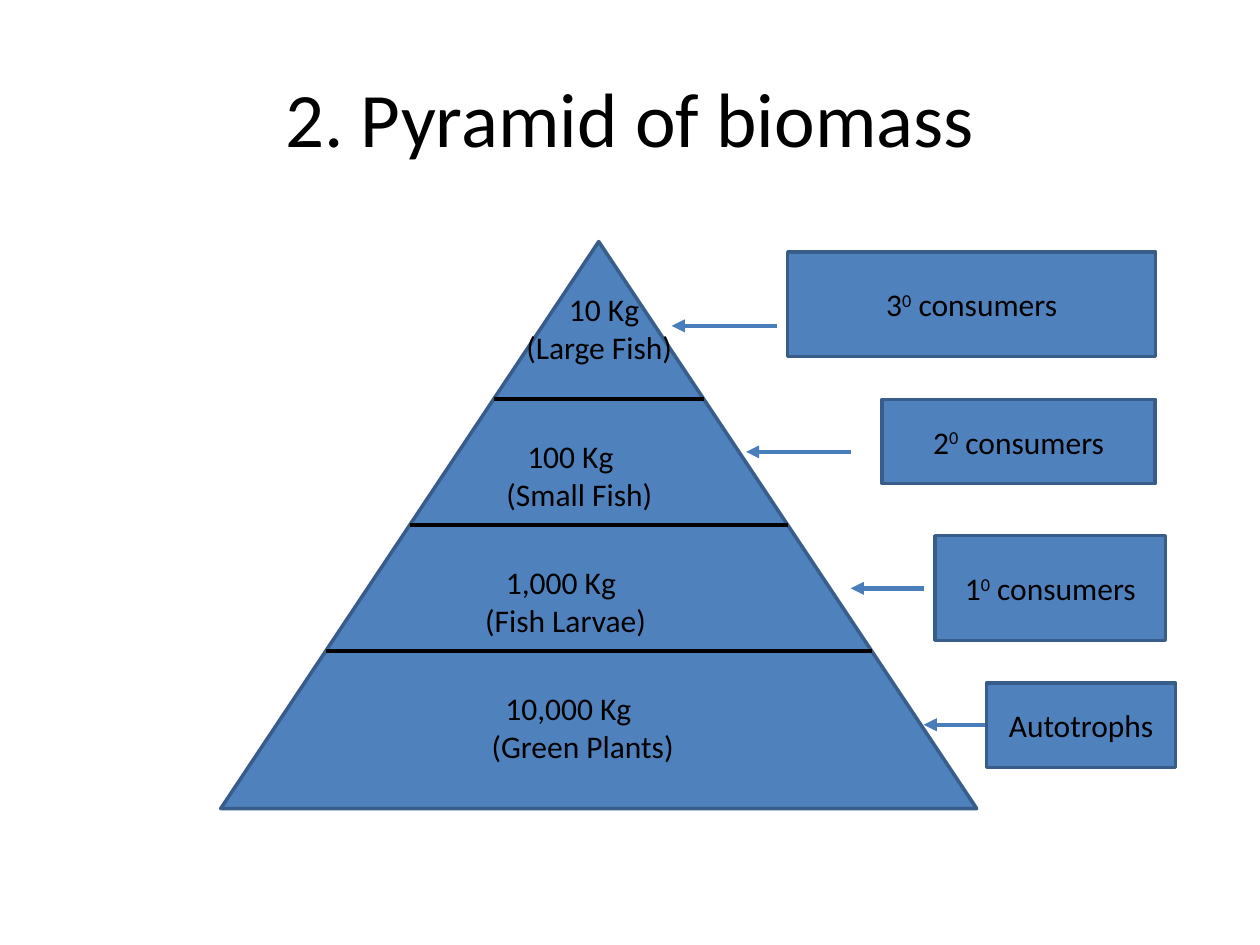
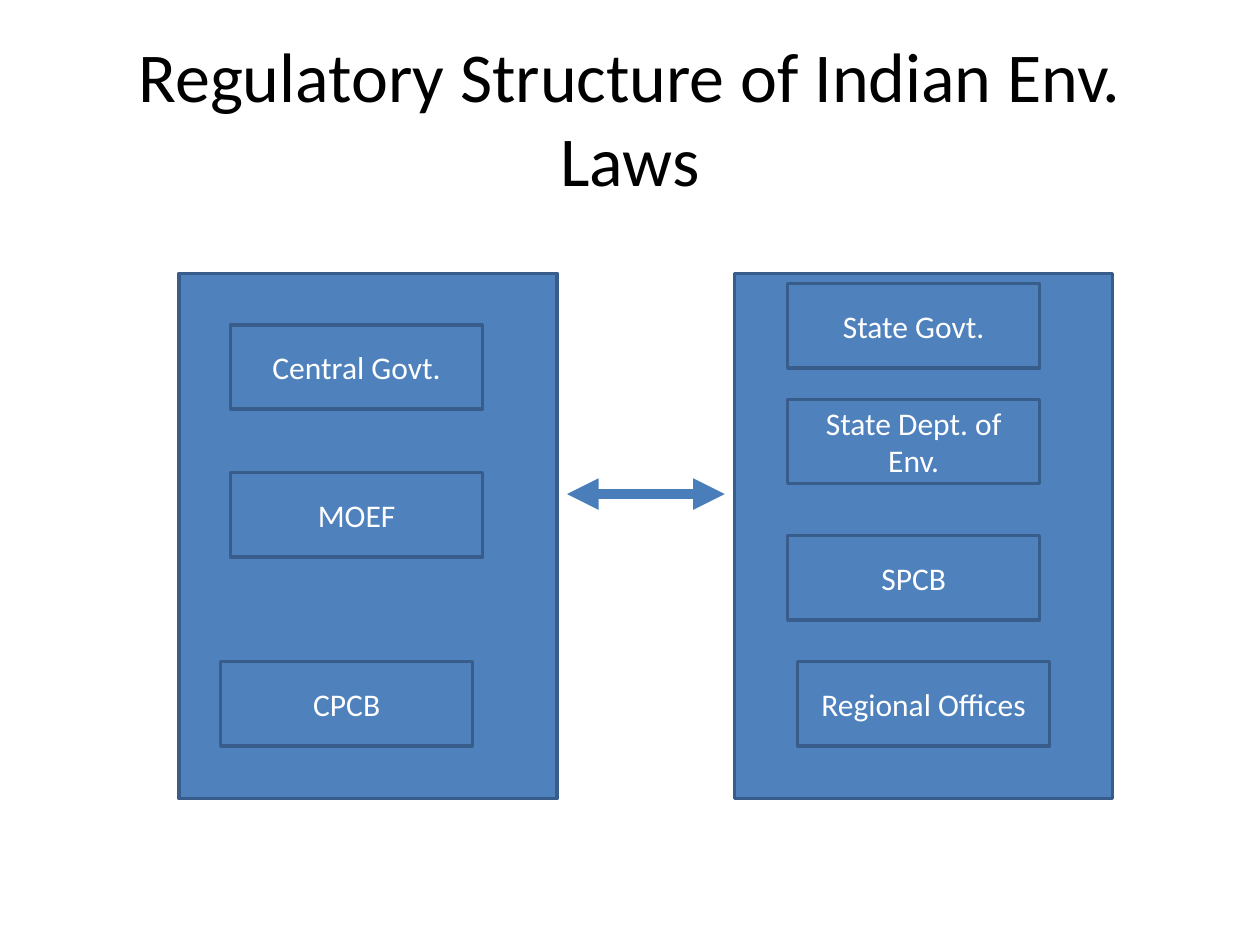
from pptx import Presentation
from pptx.dml.color import RGBColor
from pptx.enum.shapes import MSO_CONNECTOR, MSO_SHAPE
from pptx.enum.text import MSO_ANCHOR, PP_ALIGN
from pptx.oxml.ns import qn
from pptx.util import Cm, Pt
from lxml.etree import SubElement

FONT = "Calibri"
BLACK, WHITE = "000000", "FFFFFF"
BLUE, BORDER, ARROW = "4F81BD", "385D8A", "4A7EBB"


def rgb(hex_color):
    return RGBColor.from_string(hex_color)


def style_runs(p, size, color):
    for r in p.runs:
        r.font.name = FONT
        r.font.size = Pt(size)
        r.font.color.rgb = rgb(color)


def add_titled_slide(prs, title, size):
    s = prs.slides.add_slide(prs.slide_layouts[5])
    sp = s.shapes.title
    sp.left, sp.top, sp.width, sp.height = Cm(1.27), Cm(0.76), Cm(22.86), Cm(3.18)
    sp.text_frame.text = title
    sp.text_frame.vertical_anchor = MSO_ANCHOR.MIDDLE
    p = sp.text_frame.paragraphs[0]
    p.alignment = PP_ALIGN.CENTER
    style_runs(p, size, BLACK)
    return s


def add_block(s, kind, left, top, width, height):
    """Add a blue preset shape with the shared border."""
    sp = s.shapes.add_shape(kind, Cm(left), Cm(top), Cm(width), Cm(height))
    sp.shadow.inherit = False
    sp.fill.solid()
    sp.fill.fore_color.rgb = rgb(BLUE)
    sp.line.color.rgb = rgb(BORDER)
    sp.line.width = Pt(2)
    return sp


def add_box(s, text, color, left, top, width, height):
    """Add a captioned rectangle; a caret in the text raises the next character."""
    sp = add_block(s, MSO_SHAPE.RECTANGLE, left, top, width, height)
    tf = sp.text_frame
    tf.word_wrap = True
    tf.vertical_anchor = MSO_ANCHOR.MIDDLE
    p = tf.paragraphs[0]
    p.alignment = PP_ALIGN.CENTER
    base, caret, rest = text.partition("^")
    p.add_run().text = base
    if caret:
        r = p.add_run()
        r.text = rest[0]
        r.font._element.set("baseline", "30000")
        p.add_run().text = rest[1:]
    style_runs(p, 18, color)


def add_line(s, x1, y1, x2, y2, color, width, ends=()):
    """Add a straight line; ends lists headEnd and tailEnd in that order."""
    line = s.shapes.add_connector(
        MSO_CONNECTOR.STRAIGHT, Cm(x1), Cm(y1), Cm(x2), Cm(y2))
    line.line.color.rgb = rgb(color)
    line.line.width = Pt(width)
    for end in ends:
        SubElement(line.line._get_or_add_ln(), qn(f"a:{end}"), type="triangle")
    SubElement(line._element.spPr, qn("a:effectLst"))


def add_level_label(s, text, left, top, width, margin, first_indent):
    tf = s.shapes.add_textbox(Cm(left), Cm(top), Cm(width), Cm(1.78)).text_frame
    tf.word_wrap = True
    tf.text = text
    p = tf.paragraphs[0]
    pPr = p._p.get_or_add_pPr()
    pPr.set("marL", str(Cm(margin)))
    pPr.set("indent", str(Cm(first_indent)))
    style_runs(p, 18, BLACK)


def biomass_slide(prs):
    s = add_titled_slide(prs, "2. Pyramid of biomass", 44)
    left, top, width, height = 4.45, 4.87, 15.24, 11.43
    add_block(s, MSO_SHAPE.ISOSCELES_TRIANGLE, left, top, width, height)

    center = left + width / 2
    for i in range(3):
        y = 8.05 + 2.54 * i
        half = width / 2 * (y - top) / height
        add_line(s, center - half, y, center + half, y, BLACK, 2.25)

    levels = [
        ("10 Kg\v(Large Fish)", 10.36, 5.72, 3.6, 0, 0.86),
        ("100 Kg\v(Small Fish)", 9.96, 8.69, 4.01, 0, 0.42),
        ("1,000 Kg\v(Fish Larvae)", 9.53, 11.23, 4.24, 0, 0.42),
        ("10,000 Kg\v(Green Plants)", 9.09, 13.77, 5.28, 0.57, 0.28),
    ]
    for level in levels:
        add_level_label(s, *level)

    # caption, box, then arrow start, arrow tip and arrow height
    roles = [
        ("3^0 consumers", (15.88, 5.08, 7.42, 2.11), 15.67, 13.54, 6.57),
        ("2^0 consumers", (17.78, 8.05, 5.51, 1.7), 17.15, 15.04, 9.11),
        ("1^0 consumers", (18.85, 10.8, 4.65, 2.11), 18.62, 17.15, 11.86),
        ("Autotrophs", (19.89, 13.77, 3.81, 1.7), 20.12, 18.62, 14.61),
    ]
    for text, box, start, tip, y in roles:
        add_line(s, start, y, tip, y, ARROW, 2.5, ["tailEnd"])
        add_box(s, text, BLACK, *box)


def regulation_slide(prs):
    s = add_titled_slide(prs, "Regulatory Structure of Indian Env. Laws", 40)
    for left in (3.61, 14.81):
        add_block(s, MSO_SHAPE.RECTANGLE, left, 5.51, 7.62, 10.59)

    bodies = [
        ("Central Govt.", 4.65, 6.55),
        ("MOEF", 4.65, 9.53),
        ("CPCB", 4.45, 13.34),
        ("State Govt.", 15.88, 5.72),
        ("State Dept. of Env.", 15.88, 8.05),
        ("SPCB", 15.88, 10.8),
        ("Regional Offices", 16.08, 13.34),
    ]
    for text, left, top in bodies:
        add_box(s, text, WHITE, left, top, 5.08, 1.7)
    add_line(s, 11.43, 9.96, 14.61, 9.96, ARROW, 6, ["headEnd", "tailEnd"])


def main():
    prs = Presentation()
    prs.slide_width, prs.slide_height = Cm(25.4), Cm(19.05)
    biomass_slide(prs)
    regulation_slide(prs)
    prs.save("out.pptx")


if __name__ == "__main__":
    main()
